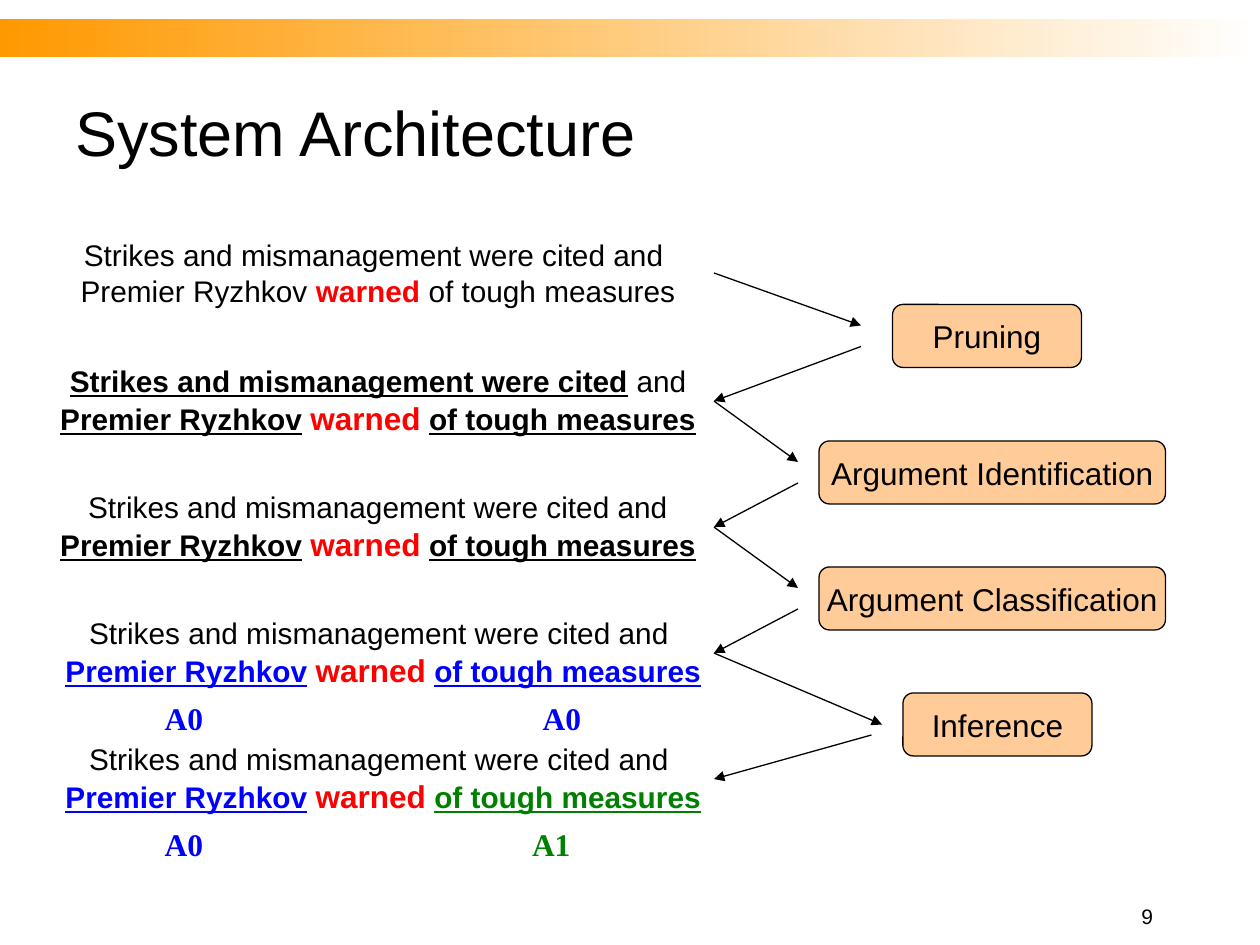
from dataclasses import dataclass

from lxml.etree import SubElement
from pptx import Presentation
from pptx.dml.color import RGBColor
from pptx.enum.shapes import MSO_CONNECTOR, MSO_SHAPE
from pptx.enum.text import MSO_ANCHOR, PP_ALIGN
from pptx.oxml.ns import qn
from pptx.util import Inches, Pt


@dataclass(frozen=True)
class Style:
    size: float
    color: str = "000000"
    bold: bool = False
    underline: bool = False
    font: str = "Arial"


@dataclass(frozen=True)
class Theme:
    band_start: str = "FF9900"
    band_end: str = "FFFFFF"
    box_fill: str = "FFCC99"
    line: str = "000000"
    line_width: float = 0.75
    title: Style = Style(36)
    box: Style = Style(18)
    number: Style = Style(12)
    plain: Style = Style(17)
    first_verb: Style = Style(17, "FF0000", True)
    verb: Style = Style(18, "FF0000", True)
    candidate: Style = Style(17, "000000", True, True)
    first_role: Style = Style(17, "0000FF", True, True)
    second_role: Style = Style(17, "008000", True, True)
    first_label: Style = Style(18, "0000FF", True, False, "Times New Roman")
    second_label: Style = Style(18, "008000", True, False, "Times New Roman")


THEME = Theme()
WIDTH, HEIGHT = 10, 7.5
COLUMNS, ROWS = 120, 90  # grid cells of one twelfth of an inch

TITLE = "System Architecture"
PAGE_NUMBER = "9"
OPENING = "Strikes and mismanagement were cited and "


def clause(subject_style, object_style):
    return [("Premier Ryzhkov", subject_style), (" ", THEME.plain),
            ("warned", THEME.verb), (" ", THEME.plain),
            ("of tough measures", object_style)]


# Sentence runs, then left column and width
SENTENCES = [
    ([(OPENING + "\nPremier Ryzhkov ", THEME.plain), ("warned", THEME.first_verb),
      (" of tough measures", THEME.plain)], 4, 64),
    ([("Strikes and mismanagement were cited", THEME.candidate), (" and ", THEME.plain)]
     + clause(THEME.candidate, THEME.candidate), 4, 64),
    ([(OPENING, THEME.plain)] + clause(THEME.candidate, THEME.candidate), 4, 64),
    ([(OPENING + "\n", THEME.plain)] + clause(THEME.first_role, THEME.first_role), 5, 63),
    ([(OPENING + "\n", THEME.plain)] + clause(THEME.first_role, THEME.second_role), 5, 63),
]
# Label, style, column, index of its sentence
ROLE_LABELS = [
    ("A0", THEME.first_label, 13, 3),
    ("A0", THEME.first_label, 49, 3),
    ("A0", THEME.first_label, 13, 4),
    ("A1", THEME.second_label, 48, 4),
]
# Name, box (column, row, width), arrow in ends at, arrow out starts at
STAGES = [
    ("Pruning", (85, 29, 18), (82, 31), (82, 33)),
    ("Argument Identification", (78, 42, 33), (76, 44), (76, 46)),
    ("Argument Classification", (78, 54, 33), (76, 56), (76, 58)),
    ("Inference", (86, 66, 18), (84, 69), (83, 70)),
]
FIRST_ROW, ROW_STEP = 22, 12
ARROW_COLUMN = 68
SENTENCE_ARROW_ROWS = [26] + [38.2 + ROW_STEP * step for step in range(4)]


def across(columns):
    return Inches(WIDTH * columns / COLUMNS)


def down(rows):
    return Inches(HEIGHT * rows / ROWS)


def grid_area(column, row, width, height):
    return across(column), down(row), across(width), down(height)


def write(frame, runs, align, anchor=MSO_ANCHOR.TOP, wrap=True, space=0):
    frame.word_wrap = wrap
    frame.vertical_anchor = anchor
    paragraph = frame.paragraphs[0]
    paragraph.alignment = align
    paragraph.space_before = Pt(space)
    for text, style in runs:
        for index, piece in enumerate(text.split("\n")):
            if index:
                paragraph.add_line_break()
            if piece:
                run = paragraph.add_run()
                run.text = piece
                run.font.name = style.font
                run.font.size = Pt(style.size)
                run.font.bold = style.bold
                run.font.underline = style.underline
                run.font.color.rgb = RGBColor.from_string(style.color)


def add_text(slide, area, runs, align=PP_ALIGN.CENTER, **options):
    write(slide.shapes.add_textbox(*grid_area(*area)).text_frame, runs, align, **options)


def add_band(slide):
    band = slide.shapes.add_shape(MSO_SHAPE.RECTANGLE, *grid_area(0, 1.8, COLUMNS, 3.6))
    band.shadow.inherit = False
    band.line.fill.background()
    band.fill.gradient()
    band.fill.gradient_angle = 0
    for stop, color in zip(band.fill.gradient_stops, (THEME.band_start, THEME.band_end)):
        stop.color.rgb = RGBColor.from_string(color)


def add_stage(slide, name, column, row, width):
    box = slide.shapes.add_shape(MSO_SHAPE.ROUNDED_RECTANGLE, *grid_area(column, row, width, 6))
    box.shadow.inherit = False
    box.fill.solid()
    box.fill.fore_color.rgb = RGBColor.from_string(THEME.box_fill)
    box.line.color.rgb = RGBColor.from_string(THEME.line)
    box.line.width = Pt(THEME.line_width)
    write(box.text_frame, [(name, THEME.box)], PP_ALIGN.CENTER, MSO_ANCHOR.MIDDLE, wrap=False)


def add_arrow(slide, start, end):
    arrow = slide.shapes.add_connector(
        MSO_CONNECTOR.STRAIGHT, across(start[0]), down(start[1]), across(end[0]), down(end[1]))
    arrow.line.color.rgb = RGBColor.from_string(THEME.line)
    arrow.line.width = Pt(THEME.line_width)
    SubElement(arrow.line._get_or_add_ln(), qn("a:tailEnd"), type="triangle")
    SubElement(arrow._element.spPr, qn("a:effectLst"))


def main():
    presentation = Presentation()
    presentation.slide_width, presentation.slide_height = Inches(WIDTH), Inches(HEIGHT)
    slide = presentation.slides.add_slide(presentation.slide_layouts[6])

    add_band(slide)
    add_text(slide, (6, 6, 108, 13), [(TITLE, THEME.title)], PP_ALIGN.LEFT,
             anchor=MSO_ANCHOR.MIDDLE)
    for index, (runs, column, width) in enumerate(SENTENCES):
        row = FIRST_ROW + index * ROW_STEP
        add_text(slide, (column, row, width, 8.2), runs, space=10.6)
    for label, style, column, index in ROLE_LABELS:
        row = FIRST_ROW + index * ROW_STEP + 8
        add_text(slide, (column, row, 9, 4.8), [(label, style)], space=11.2)
    for index, (name, box, arrow_in, arrow_out) in enumerate(STAGES):
        add_stage(slide, name, *box)
        add_arrow(slide, (ARROW_COLUMN, SENTENCE_ARROW_ROWS[index]), arrow_in)
        add_arrow(slide, arrow_out, (ARROW_COLUMN, SENTENCE_ARROW_ROWS[index + 1]))
    add_text(slide, (99, 86, 12, 3), [(PAGE_NUMBER, THEME.number)], PP_ALIGN.RIGHT,
             anchor=MSO_ANCHOR.BOTTOM)
    presentation.save("out.pptx")


if __name__ == "__main__":
    main()
